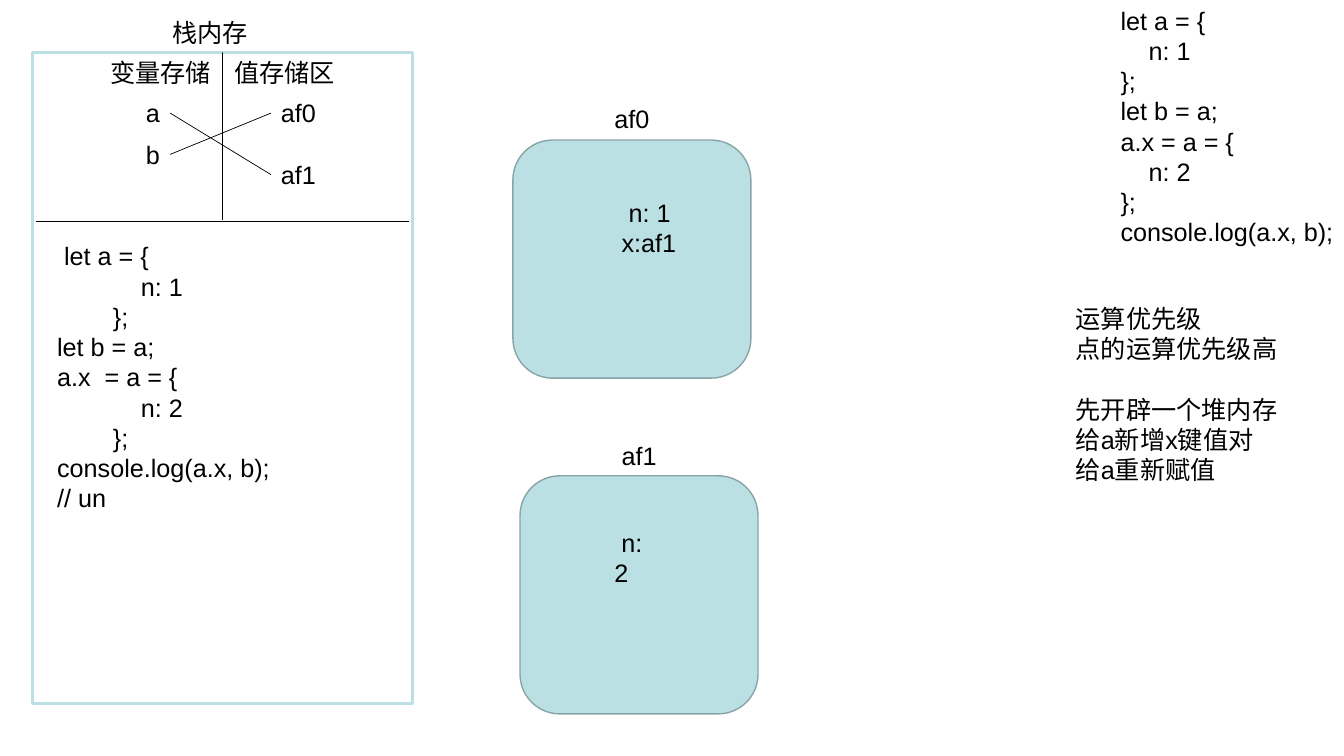
import pptx
import pptx.util
import pptx.dml.color
import pptx.enum.shapes
import pptx.enum.text
import lxml.etree
from pptx.oxml.ns import qn

Cm, Pt = pptx.util.Cm, pptx.util.Pt
SHAPES = pptx.enum.shapes.MSO_SHAPE

# Content: lengths in centimetres, boxes as (left, top, width, height)
SLIDE_SIZE = (33.88, 19.05)
BLACK, WHITE, TEAL, TEAL_DARK = "000000", "FFFFFF", "BBE0E3", "89A4A7"
TEXT_FORMAT = {"name": "Arial", "size": Pt(18)}
FRAME_FORMAT = {"word_wrap": False,
                "auto_size": pptx.enum.text.MSO_AUTO_SIZE.SHAPE_TO_FIT_TEXT}
PARAGRAPH_GAP = Pt(21.6)

STACK_FRAME = (0.81, 1.32, 9.6, 16.41)
HEAP_SIZE = 6
HEAP_BLOCKS = [(12.93, 3.53), (13.11, 11.99)]

SOURCE_CODE = [
    "        let a = {",
    "            n: 1",
    "        };",
    "        let b = a;",
    "        a.x = a = {",
    "            n: 2",
    "        };",
    "        console.log(a.x, b);",
]
STACK_CODE = [
    " let a = {",
    "            n: 1",
    "        };",
    "let b = a;",
    "a.x  = a = {",
    "            n: 2",
    "        };",
    "console.log(a.x, b);",
    "// un",
]
# Each inner list is a group; groups are set apart by PARAGRAPH_GAP
TEXTS = [
    ((26.59, 0, 7.29, 6.35), [SOURCE_CODE]),
    ((4.09, 0.3, 2.41, 1.02), [["栈内存"]]),
    ((2.53, 1.32, 3.05, 1.02), [["变量存储"]]),
    ((5.65, 1.32, 3.05, 1.02), [["值存储区"]]),
    ((26.87, 7.52, 5.59, 4.83), [
        ["运算优先级", "点的运算优先级高"],
        ["先开辟一个堆内存", "给a新增x键值对", "给a重新赋值"],
    ]),
    ((1.19, 5.94, 5.87, 7.4), [STACK_CODE]),
    ((15.24, 2.49, 1.4, 1.02), [["af0"]]),
    ((15.42, 4.85, 1.88, 1.78), [[" n: 1", "x:af1"]]),
    ((15.42, 10.97, 1.4, 1.02), [["af1"]]),
    ((15.24, 13.16, 1.73, 1.02), [[" n: 2"]]),
]
# Variables and addresses: label -> top
VARIABLES = {"a": 2.34, "b": 3.38}
ADDRESSES = {"af0": 2.34, "af1": 3.89}
REFERENCES = [("af1", "a"), ("af0", "b")]
VARIABLE_LEFT, VARIABLE_WIDTH = 3.43, 0.86
ADDRESS_LEFT, ADDRESS_WIDTH = 6.83, 1.4
LABEL_HEIGHT = 1.02
DIVIDER_Y, COLUMN_END_Y = 5.59, 5.54
DIVIDER_INSET = 0.09


def colour(value):
    return pptx.dml.color.RGBColor.from_string(value)


def apply(target, values):
    for name, value in values.items():
        setattr(target, name, value)


def add_block(slide, kind, box, fill, line, weight):
    shape = slide.shapes.add_shape(kind, *map(Cm, box))
    shape.shadow.inherit = False
    shape.fill.solid()
    shape.fill.fore_color.rgb = colour(fill)
    shape.line.color.rgb = colour(line)
    shape.line.width = Pt(weight)
    return shape


def add_text(slide, box, groups):
    shape = slide.shapes.add_textbox(*map(Cm, box))
    frame = shape.text_frame
    apply(frame, FRAME_FORMAT)
    frame.text = "\n".join(line for group in groups for line in group)
    for paragraph in frame.paragraphs:
        apply(paragraph.font, TEXT_FORMAT)
        paragraph.font.color.rgb = colour(BLACK)
    start = 0
    for group in groups[:-1]:
        start += len(group)
        frame.paragraphs[start].space_before = PARAGRAPH_GAP
    return shape


def add_line(slide, *points):
    line = slide.shapes.add_connector(
        pptx.enum.shapes.MSO_CONNECTOR.STRAIGHT, *map(Cm, points))
    line.line.color.rgb = colour(BLACK)
    line.line.width = Pt(0.5)
    properties = line._element.find(qn("p:spPr"))
    lxml.etree.SubElement(properties, qn("a:effectLst"))
    return line


def main():
    presentation = pptx.Presentation()
    presentation.slide_width, presentation.slide_height = map(Cm, SLIDE_SIZE)
    slide = presentation.slides.add_slide(presentation.slide_layouts[6])

    # Stack frame with its dividers
    left, top, width, _ = STACK_FRAME
    middle = left + width / 2
    stack = add_block(slide, SHAPES.RECTANGLE, STACK_FRAME, WHITE, TEAL, 2.25)
    add_line(slide, left + DIVIDER_INSET, DIVIDER_Y,
             left + width - DIVIDER_INSET, DIVIDER_Y)
    column_line = add_line(slide, middle, top, middle, COLUMN_END_Y)
    column_line.begin_connect(stack, 0)

    # Heap blocks
    for position in HEAP_BLOCKS:
        add_block(slide, SHAPES.ROUNDED_RECTANGLE,
                  (*position, HEAP_SIZE, HEAP_SIZE), TEAL, TEAL_DARK, 1)

    # Titles, code and notes
    for box, groups in TEXTS:
        add_text(slide, box, groups)

    # Variables, addresses and the references between them
    labels = {}
    for names, x, label_width in (
            (VARIABLES, VARIABLE_LEFT, VARIABLE_WIDTH),
            (ADDRESSES, ADDRESS_LEFT, ADDRESS_WIDTH)):
        for name, y in names.items():
            box = (x, y, label_width, LABEL_HEIGHT)
            labels[name] = add_text(slide, box, [[name]])
    for address, variable in REFERENCES:
        reference = add_line(slide, 0, 0, 0, 0)
        reference.begin_connect(labels[address], 1)
        reference.end_connect(labels[variable], 3)

    presentation.save("out.pptx")


if __name__ == "__main__":
    main()
